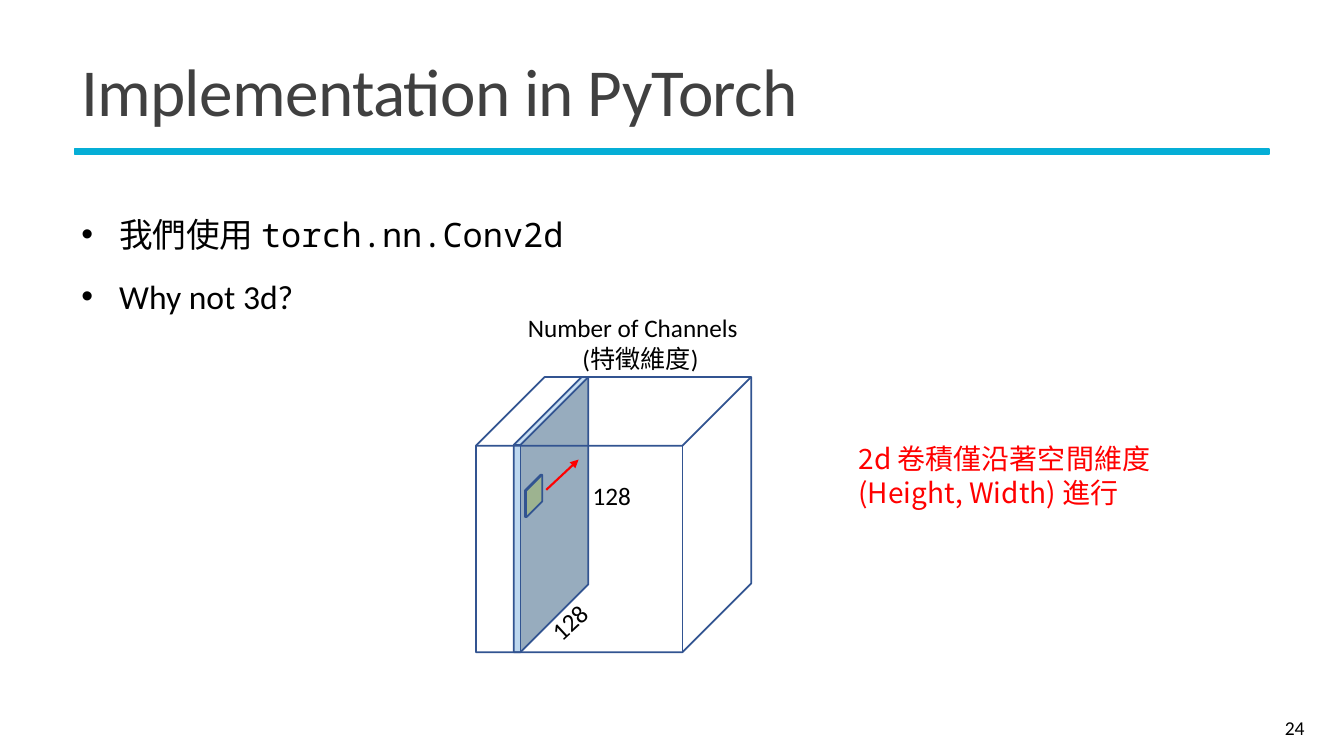
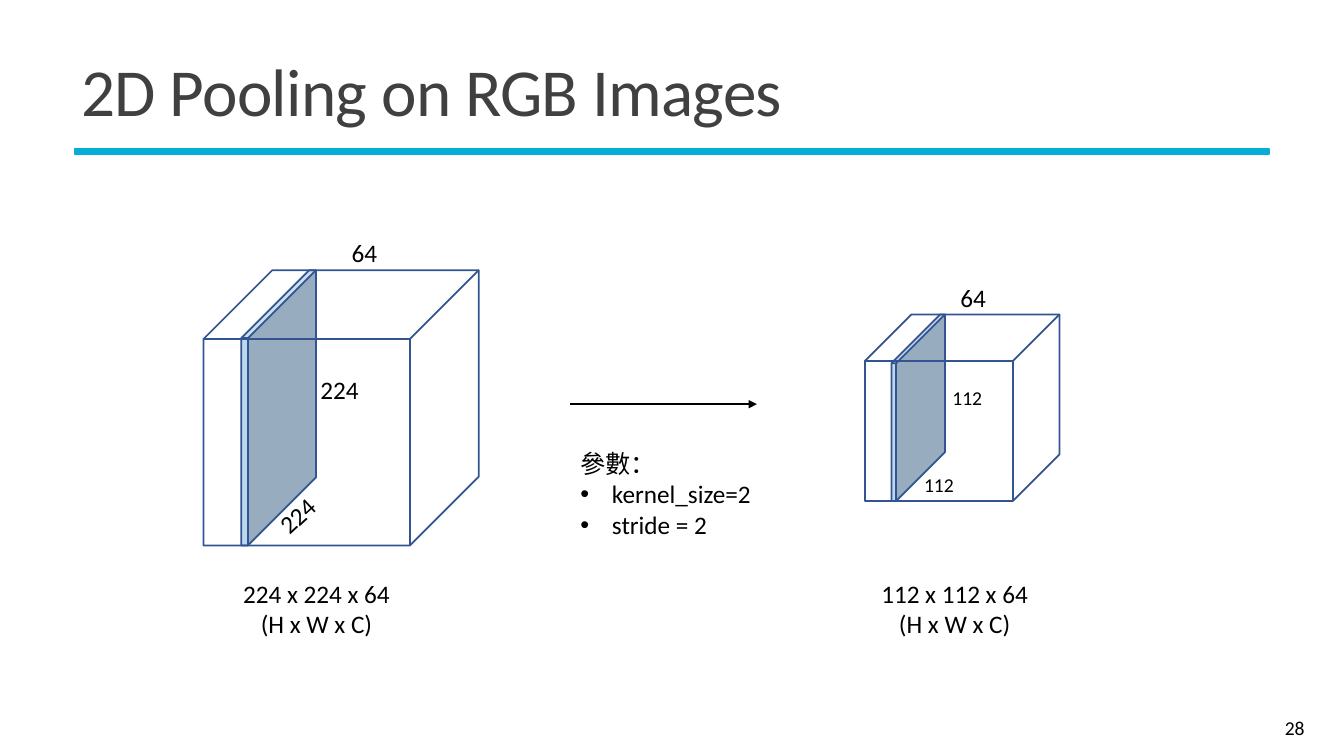
"""Build two slides on 2D convolution and pooling with cube diagrams."""
import pptx
import pptx.dml.color
import pptx.enum.shapes
import pptx.enum.text
import pptx.oxml.ns
import pptx.util
from lxml import etree

Pt = pptx.util.Pt
RGB = pptx.dml.color.RGBColor
SHAPE = pptx.enum.shapes.MSO_SHAPE
ALIGN = pptx.enum.text.PP_ALIGN
ANCHOR = pptx.enum.text.MSO_ANCHOR
qn = pptx.oxml.ns.qn

BLACK = RGB(0x00, 0x00, 0x00)
GRAY = RGB(0x40, 0x40, 0x40)
RED = RGB(0xFF, 0x00, 0x00)
TEAL = RGB(0x05, 0xAE, 0xD6)
NAVY = RGB(0x32, 0x54, 0x91)
PALE_BLUE = RGB(0xBD, 0xD7, 0xEE)
PALE_GREEN = RGB(0xC5, 0xE0, 0xB4)

SANS, CJK, MONO = "Calibri", "Noto Sans CJK TC", "Noto Sans Mono"
SLAB_DEPTH = 0.911
TILT = 317.3

SLIDES = [
    dict(
        title="Implementation in PyTorch",
        number="24",
        cubes=[dict(box=(340, 269.3, 196.6, 196.6), slab=(27, 53.3))],
        kernels=[(375.1, 339.1, 12.2, 30.2)],
        arrows=[((390.2, 349.9), (413.3, 328.3), RED)],
        texts=[
            ((51, 134, 860, 90),
             [[("我們使用 ", SANS), ("torch.nn.Conv2d", MONO)], "Why not 3d?"],
             dict(size=24, indent=27, spacing=Pt(44))),
            ((383.8, 424.8, 57, 29), ["128"], dict(rotation=TILT)),
            ((416.2, 339.8, 57, 29), ["128"], {}),
            ((370, 219.6, 175, 51),
             ["Number of Channels",
              dict(text="(特徵維度)", align=ALIGN.CENTER, spacing=Pt(22))], {}),
            ((606.2, 311.8, 242.6, 55.4),
             ["2d 卷積僅沿著空間維度 (Height, Width) 進行"],
             dict(size=20, font=CJK, color=RED, spacing=Pt(24))),
        ],
    ),
    dict(
        title="2D Pooling on RGB Images",
        number="28",
        cubes=[dict(box=(617.8, 224.6, 139, 133.2), slab=(19, 38.2)),
               dict(box=(145.4, 193, 196.6, 196.6), slab=(27, 53.3))],
        kernels=[],
        arrows=[((407.5, 288.7), (540.7, 288.7), BLACK)],
        texts=[
            ((407.5, 316, 216.7, 72.7),
             [[("參數", CJK), ("：", SANS)],
              dict(text="kernel_size=2", indent=22.5),
              dict(text="stride = 2", indent=22.5)], dict(spacing=Pt(22))),
            ((189.4, 348.5, 57, 29), ["224"], dict(rotation=TILT)),
            ((221.8, 263.5, 57, 29), ["224"], {}),
            ((244.1, 166.3, 53, 29), ["64"], {}),
            ((679, 198, 53, 29), ["64"], {}),
            ((673.2, 272.2, 38.2, 24.5), ["112"], dict(size=14)),
            ((653, 334.1, 38.2, 24.5), ["112"], dict(size=14)),
            ((151.2, 409.7, 149.8, 51), ["224 x 224 x 64", "(H x W x C)"],
             dict(align=ALIGN.CENTER)),
            ((607, 409.7, 149.8, 51), ["112 x 112 x 64", "(H x W x C)"],
             dict(align=ALIGN.CENTER)),
        ],
    ),
]


def add_bullet(p, indent):
    pPr = p._p.get_or_add_pPr()
    pPr.set("marL", str(Pt(indent)))
    pPr.set("indent", str(-Pt(indent)))
    etree.SubElement(pPr, qn("a:buFont")).set("typeface", "Arial")
    etree.SubElement(pPr, qn("a:buChar")).set("char", "•")


def add_text(s, box, paragraphs, size=18, font=SANS, color=BLACK, align=ALIGN.LEFT,
             anchor=ANCHOR.TOP, spacing=None, indent=None, tracking=None, rotation=0):
    sp = s.shapes.add_textbox(*map(Pt, box))
    sp.rotation = rotation
    tf = sp.text_frame
    tf.word_wrap = True
    tf.vertical_anchor = anchor
    shared = dict(align=align, spacing=spacing, indent=indent)
    for i, item in enumerate(paragraphs):
        fmt = {**shared, **(item if isinstance(item, dict) else dict(text=item))}
        p = tf.add_paragraph() if i else tf.paragraphs[0]
        if fmt["indent"]:
            add_bullet(p, fmt["indent"])
        p.alignment = fmt["align"]
        p.line_spacing = fmt["spacing"]
        text = fmt["text"]
        for words, face in [(text, font)] if isinstance(text, str) else text:
            r = p.add_run()
            r.text = words
            r.font.size = Pt(size)
            r.font.name = face
            r.font.color.rgb = color
            rPr = r._r.get_or_add_rPr()
            rPr.find(qn("a:latin")).addnext(
                etree.Element(qn("a:ea"), typeface=CJK))
            if tracking:
                rPr.set("spc", str(tracking))


def add_block(s, kind, box, fill=None, line=NAVY, depth=None):
    sp = s.shapes.add_shape(kind, *map(Pt, box))
    sp.shadow.inherit = False
    if depth:
        sp.adjustments[0] = depth
    if fill is None:
        sp.fill.background()
    else:
        sp.fill.solid()
        sp.fill.fore_color.rgb = fill
    sp.line.color.rgb = line
    sp.line.width = Pt(1.25)


def add_cube(s, box, slab):
    left, top, _, height = box
    offset, width = slab
    add_block(s, SHAPE.CUBE, (left + offset, top, width, height), PALE_BLUE,
              depth=SLAB_DEPTH)
    add_block(s, SHAPE.CUBE, box)


def add_arrow(s, start, end, color):
    line = s.shapes.add_connector(pptx.enum.shapes.MSO_CONNECTOR.STRAIGHT,
                                  *map(Pt, start + end))
    line.line.color.rgb = color
    line.line.width = Pt(1.5)
    etree.SubElement(line.line._get_or_add_ln(), qn("a:tailEnd")).set("type", "triangle")
    etree.SubElement(line._element.spPr, qn("a:effectLst"))


def add_frame(s, title, number):
    add_block(s, SHAPE.RECTANGLE, (53.3, 106.6, 853.2, 3.6), TEAL, TEAL)
    add_text(s, (51, 28, 860, 81.4), [title], size=48, color=GRAY,
             anchor=ANCHOR.MIDDLE, spacing=0.85, tracking=-50)
    add_text(s, (836, 505.4, 103, 28.8), [number], size=14, align=ALIGN.RIGHT,
             anchor=ANCHOR.MIDDLE)


def main():
    prs = pptx.Presentation()
    prs.slide_width, prs.slide_height = Pt(960), Pt(540)
    for content in SLIDES:
        s = prs.slides.add_slide(prs.slide_layouts[6])
        add_frame(s, content["title"], content["number"])
        for cube in content["cubes"]:
            add_cube(s, **cube)
        for box in content["kernels"]:
            add_block(s, SHAPE.CUBE, box, PALE_GREEN, depth=SLAB_DEPTH)
        for arrow in content["arrows"]:
            add_arrow(s, *arrow)
        for box, paragraphs, fmt in content["texts"]:
            add_text(s, box, paragraphs, **fmt)
    prs.save("out.pptx")


if __name__ == "__main__":
    main()
